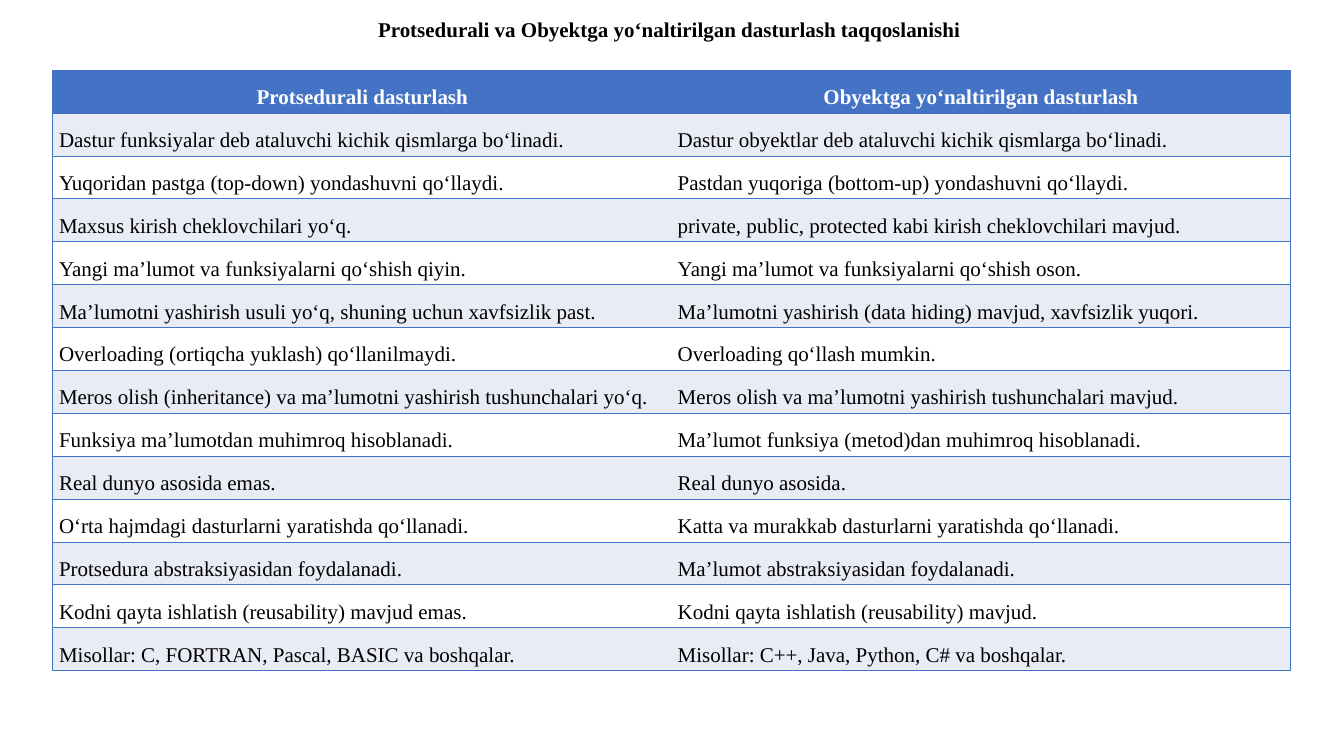
"""Build a slide comparing procedural and object-oriented programming."""
from dataclasses import dataclass
from typing import NamedTuple

from lxml import etree
from pptx import Presentation
from pptx import util as u
from pptx.dml.color import RGBColor
from pptx.enum import text
from pptx.oxml import ns


@dataclass(frozen=True)
class Theme:
    font: str = "Times New Roman"
    size: float = 18
    ink: str = "000000"
    accent: str = "4472C4"
    band: str = "E9EBF5"
    paper: str = "FFFFFF"
    border: float = 1
    line_spacing: float = 1.5


class Comparison(NamedTuple):
    procedural: str
    object_oriented: str


class Box(NamedTuple):
    left: float
    top: float
    width: float
    height: float


class CellStyle(NamedTuple):
    fill: str
    color: str
    bold: bool
    alignment: text.PP_ALIGN


THEME = Theme()
TITLE = "Protsedurali va Obyektga yo‘naltirilgan dasturlash taqqoslanishi"
TITLE_BOX = Box(316.8, 10.8, 518.4, 28.8)
TABLE_BOX = Box(45.4, 60.2, 1060.6, 514.8)
ROWS = [
    Comparison("Protsedurali dasturlash", "Obyektga yo‘naltirilgan dasturlash"),
    Comparison("Dastur funksiyalar deb ataluvchi kichik qismlarga bo‘linadi.",
               "Dastur obyektlar deb ataluvchi kichik qismlarga bo‘linadi."),
    Comparison("Yuqoridan pastga (top-down) yondashuvni qo‘llaydi.",
               "Pastdan yuqoriga (bottom-up) yondashuvni qo‘llaydi."),
    Comparison("Maxsus kirish cheklovchilari yo‘q.",
               "private, public, protected kabi kirish cheklovchilari mavjud."),
    Comparison("Yangi ma’lumot va funksiyalarni qo‘shish qiyin.",
               "Yangi ma’lumot va funksiyalarni qo‘shish oson."),
    Comparison("Ma’lumotni yashirish usuli yo‘q, shuning uchun xavfsizlik past.",
               "Ma’lumotni yashirish (data hiding) mavjud, xavfsizlik yuqori."),
    Comparison("Overloading (ortiqcha yuklash) qo‘llanilmaydi.",
               "Overloading qo‘llash mumkin."),
    Comparison("Meros olish (inheritance) va ma’lumotni yashirish tushunchalari yo‘q.",
               "Meros olish va ma’lumotni yashirish tushunchalari mavjud."),
    Comparison("Funksiya ma’lumotdan muhimroq hisoblanadi.",
               "Ma’lumot funksiya (metod)dan muhimroq hisoblanadi."),
    Comparison("Real dunyo asosida emas.", "Real dunyo asosida."),
    Comparison("O‘rta hajmdagi dasturlarni yaratishda qo‘llanadi.",
               "Katta va murakkab dasturlarni yaratishda qo‘llanadi."),
    Comparison("Protsedura abstraksiyasidan foydalanadi.",
               "Ma’lumot abstraksiyasidan foydalanadi."),
    Comparison("Kodni qayta ishlatish (reusability) mavjud emas.",
               "Kodni qayta ishlatish (reusability) mavjud."),
    Comparison("Misollar: C, FORTRAN, Pascal, BASIC va boshqalar.",
               "Misollar: C++, Java, Python, C# va boshqalar."),
]
HEADER = CellStyle(THEME.accent, THEME.paper, True, text.PP_ALIGN.CENTER)
BANDS = [CellStyle(fill, THEME.ink, False, text.PP_ALIGN.LEFT)
         for fill in (THEME.paper, THEME.band)]


def format_paragraph(paragraph, color: str, bold: bool, alignment: text.PP_ALIGN) -> None:
    paragraph.alignment = alignment
    for run in paragraph.runs:
        run.font.name = THEME.font
        run.font.size = u.Pt(THEME.size)
        run.font.bold = bold
        run.font.color.rgb = RGBColor.from_string(color)


def set_borders(cell, open_side: str) -> None:
    properties = cell._tc.get_or_add_tcPr()
    for index, side in enumerate(("lnL", "lnR", "lnT", "lnB")):
        line = etree.Element(ns.qn(f"a:{side}"), w=str(u.Pt(THEME.border)))
        if side == open_side:
            etree.SubElement(line, ns.qn("a:noFill"))
        else:
            fill = etree.SubElement(line, ns.qn("a:solidFill"))
            etree.SubElement(fill, ns.qn("a:srgbClr"), val=THEME.accent)
        properties.insert(index, line)


def fill_cell(cell, content: str, style: CellStyle, open_side: str) -> None:
    cell.text_frame.text = content
    cell.vertical_anchor = text.MSO_ANCHOR.MIDDLE
    cell.margin_left = cell.margin_right = u.Pt(5.2)
    cell.margin_top = cell.margin_bottom = u.Pt(0)
    cell.fill.solid()
    cell.fill.fore_color.rgb = RGBColor.from_string(style.fill)
    paragraph = cell.text_frame.paragraphs[0]
    paragraph.line_spacing = THEME.line_spacing
    format_paragraph(paragraph, style.color, style.bold, style.alignment)
    set_borders(cell, open_side)


def add_title(slide) -> None:
    title = slide.shapes.title
    title.left, title.top, title.width, title.height = map(u.Pt, TITLE_BOX)
    frame = title.text_frame
    frame.text = TITLE
    frame.word_wrap = False
    frame.auto_size = text.MSO_AUTO_SIZE.SHAPE_TO_FIT_TEXT
    frame.vertical_anchor = text.MSO_ANCHOR.TOP
    format_paragraph(frame.paragraphs[0], THEME.ink, True, text.PP_ALIGN.LEFT)


def add_comparison_table(slide) -> None:
    table = slide.shapes.add_table(len(ROWS), 2, *map(u.Pt, TABLE_BOX)).table
    table.first_row = True
    table.horz_banding = False
    for row in table.rows:
        row.height = u.Pt(TABLE_BOX.height / len(ROWS))
    for row_index, comparison in enumerate(ROWS):
        style = BANDS[row_index % 2] if row_index else HEADER
        for column_index, open_side in enumerate(("lnR", "lnL")):
            cell = table.cell(row_index, column_index)
            fill_cell(cell, comparison[column_index], style, open_side)


def main() -> None:
    presentation = Presentation()
    presentation.slide_width, presentation.slide_height = u.Pt(1152), u.Pt(648)
    slide = presentation.slides.add_slide(presentation.slide_layouts[5])
    add_title(slide)
    add_comparison_table(slide)
    presentation.save("out.pptx")


if __name__ == "__main__":
    main()
